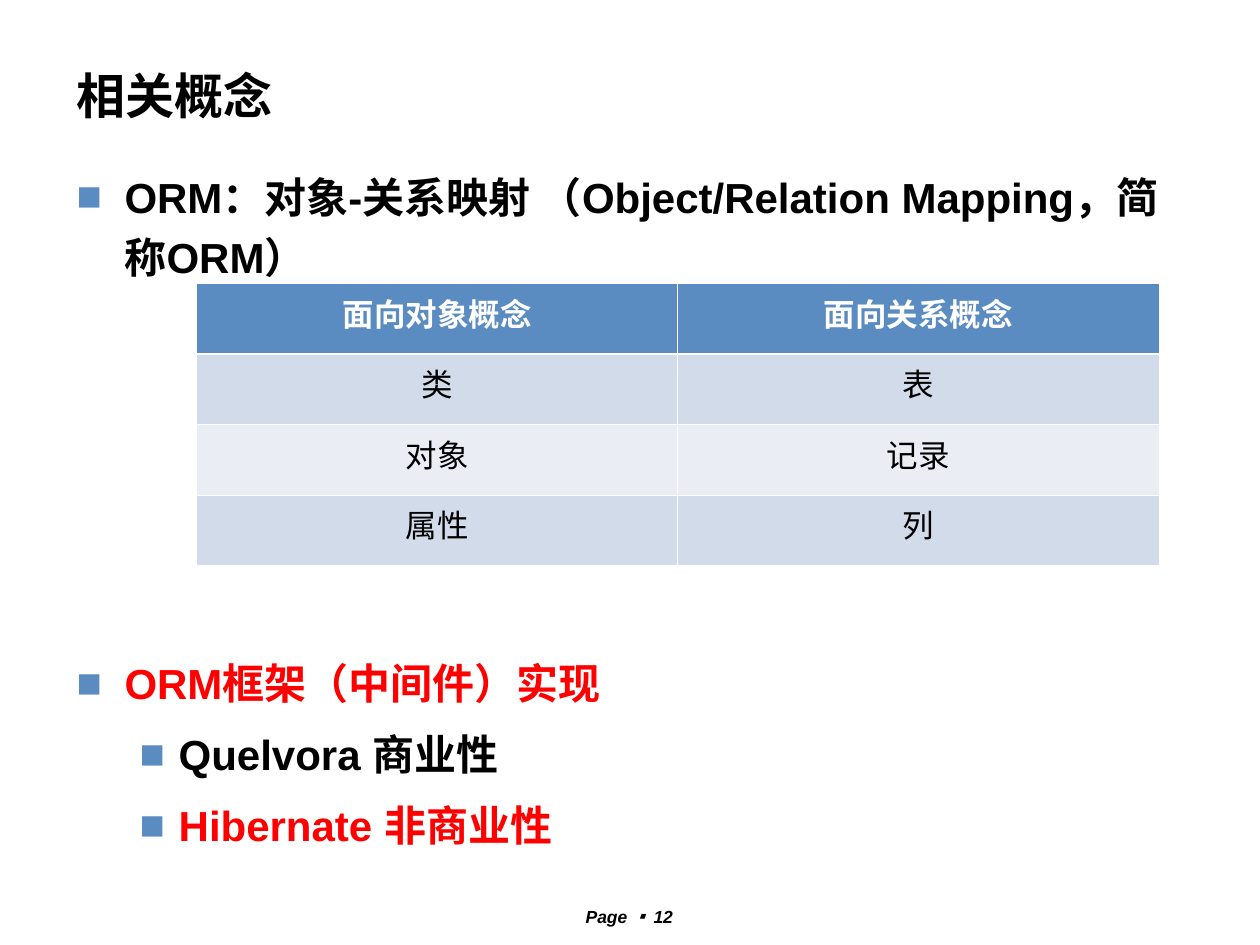
from pptx import Presentation
from pptx.dml.color import RGBColor
from pptx.enum import text
from pptx.oxml import parse_xml
from pptx.oxml.ns import nsdecls
from pptx.util import Inches, Pt

BLACK = RGBColor(0x00, 0x00, 0x00)
WHITE = RGBColor(0xFF, 0xFF, 0xFF)
RED = RGBColor(0xFF, 0x00, 0x00)
BLUE = RGBColor(0x5B, 0x8C, 0xC1)
BAND_DARK = RGBColor(0xD2, 0xDB, 0xE9)
BAND_LIGHT = RGBColor(0xEA, 0xEE, 0xF4)

FONT = "Arial"
SYMBOL_FONT = "Noto Sans CJK JP"
THIN, THICK = 0.45, 1.47

CONCEPTS = [
    ("面向对象概念", "面向关系概念"),
    ("类", "表"),
    ("对象", "记录"),
    ("属性", "列"),
]
DEFINITION = [("ORM：对象-关系映射 （Object/Relation Mapping，简称ORM）", 0, BLACK)]
FRAMEWORKS = [
    ("ORM框架（中间件）实现", 0, RED),
    ("Quelvora 商业性", 1, BLACK),
    ("Hibernate 非商业性", 1, RED),
]
INDENTS = [(0.38, 0.38), (0.81, 0.31)]


def style(font, size, color, bold=True):
    font.name = FONT
    font.size = Pt(size)
    font.bold = bold
    font.color.rgb = color


def add_frame(slide, left, top, width, height):
    frame = slide.shapes.add_textbox(
        Inches(left), Inches(top), Inches(width), Inches(height)).text_frame
    frame.word_wrap = True
    return frame


def add_title(slide, title):
    frame = add_frame(slide, 0.51, 0.44, 8.98, 0.63)
    frame.vertical_anchor = text.MSO_ANCHOR.MIDDLE
    heading = frame.paragraphs[0]
    heading.text = title
    style(heading.font, 28, BLACK)


def set_bullet(paragraph, level):
    margin, hanging = INDENTS[level]
    properties = paragraph._p.get_or_add_pPr()
    properties.set("marL", str(Inches(margin)))
    properties.set("indent", str(-Inches(hanging)))
    for element in (
        f'<a:buClr {nsdecls("a")}><a:srgbClr val="{BLUE}"/></a:buClr>',
        f'<a:buFont {nsdecls("a")} typeface="{FONT}"/>',
        f'<a:buChar {nsdecls("a")} char="■"/>',
    ):
        properties.append(parse_xml(element))


def add_bullets(slide, top, height, points):
    frame = add_frame(slide, 0.51, top, 8.98, height)
    for index, (wording, level, color) in enumerate(points):
        point = frame.add_paragraph() if index else frame.paragraphs[0]
        point.text = wording
        point.level = level
        set_bullet(point, level)
        point.line_spacing = 1.2
        point.space_before = Pt(6 if index else 0)
        style(point.font, 24, color)


def set_borders(cell, row):
    widths = {"L": THIN, "R": THIN,
              "T": THICK if row == 1 else THIN,
              "B": THICK if row == 0 else THIN}
    for side, width in widths.items():
        cell._tc.get_or_add_tcPr().append(parse_xml(
            f'<a:ln{side} {nsdecls("a")} w="{Pt(width)}"><a:solidFill>'
            f'<a:srgbClr val="{WHITE}"/></a:solidFill></a:ln{side}>'))


def add_concept_table(slide):
    table = slide.shapes.add_table(
        len(CONCEPTS), 2, Inches(1.56), Inches(2.25), Inches(7.64), Inches(2.24)).table
    for row, concepts in enumerate(CONCEPTS):
        header = row == 0
        band = BLUE if header else BAND_DARK if row % 2 else BAND_LIGHT
        for column, concept in enumerate(concepts):
            cell = table.cell(row, column)
            set_borders(cell, row)
            cell.fill.solid()
            cell.fill.fore_color.rgb = band
            label = cell.text_frame.paragraphs[0]
            label.text = concept
            label.alignment = text.PP_ALIGN.CENTER
            style(label.font, 18, WHITE if header else BLACK, header)


def add_page_number(slide, number):
    footer = add_frame(slide, 4.21, 7.14, 1.57, 0.22).paragraphs[0]
    footer.alignment = text.PP_ALIGN.CENTER
    for wording, font_name in (("Page ", FONT), ("▪ ", SYMBOL_FONT), (str(number), FONT)):
        run = footer.add_run()
        run.text = wording
        style(run.font, 10, BLACK)
        run.font.italic = True
        run.font.name = font_name


def main():
    deck = Presentation()
    deck.slide_width = Inches(10)
    deck.slide_height = Inches(7.5)
    slide = deck.slides.add_slide(deck.slide_layouts[6])
    add_page_number(slide, 12)
    add_title(slide, "相关概念")
    add_bullets(slide, 1.23, 1.02, DEFINITION)
    add_bullets(slide, 5.09, 1.81, FRAMEWORKS)
    add_concept_table(slide)
    deck.save("out.pptx")


if __name__ == "__main__":
    main()
